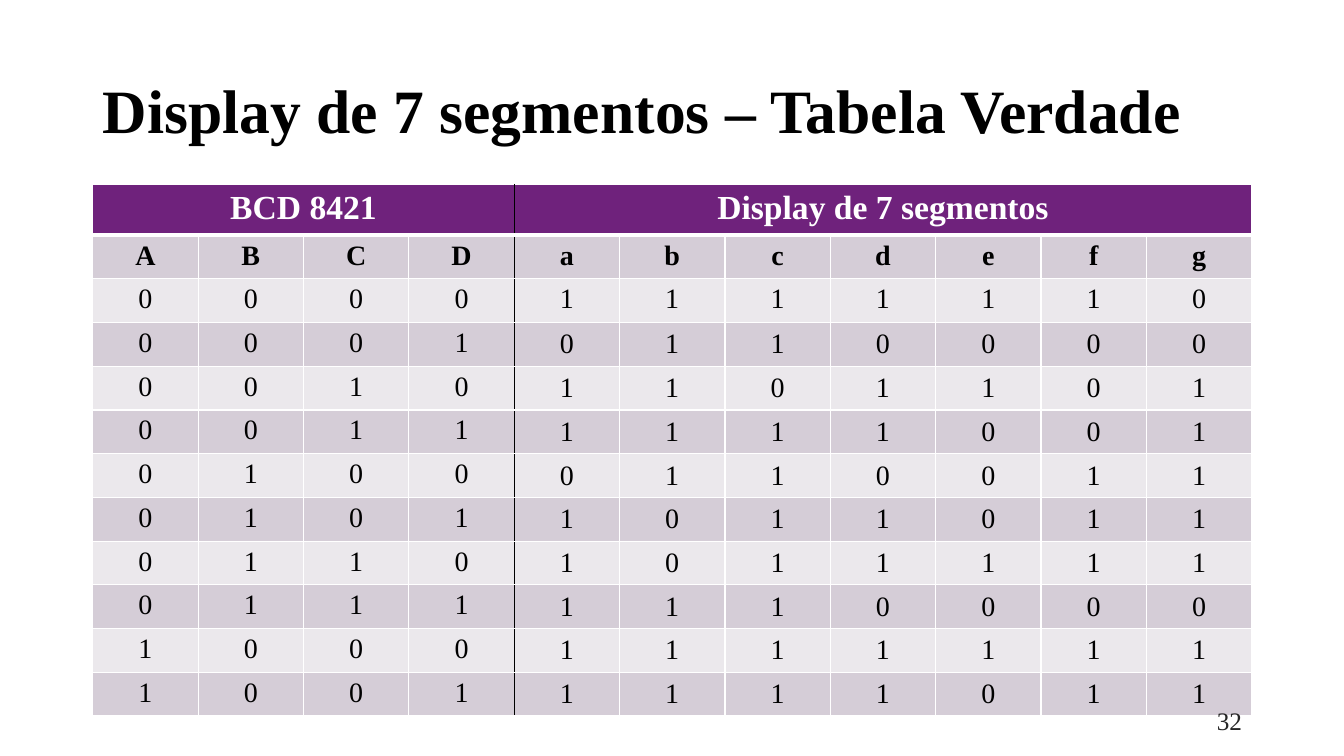
import dataclasses

import pptx
import pptx.dml.color
import pptx.enum.text
import pptx.oxml
import pptx.oxml.ns
import pptx.util

Pt = pptx.util.Pt
ALIGN = pptx.enum.text.PP_ALIGN
MIDDLE = pptx.enum.text.MSO_ANCHOR.MIDDLE

INPUTS = "ABCD"
OUTPUTS = "abcdefg"
# Segments a to g for the digits 0 to 9
SEGMENTS = [
    "1111110", "0110000", "1101101", "1111001", "0110011",
    "1011011", "1011111", "1110000", "1111111", "1111011",
]


@dataclasses.dataclass
class Theme:
    font: str = "Times New Roman"
    black: str = "000000"
    white: str = "FFFFFF"
    header: str = "6F227C"
    bands: tuple = ("EBE8EC", "D5CDD7")
    number: str = "262626"
    title_size: int = 44
    header_size: int = 24
    cell_size: int = 20
    number_size: int = 18
    thin: int = 1
    thick: int = 3


class SlideBuilder:
    def __init__(self, slide, theme):
        self.slide = slide
        self.theme = theme

    def style(self, p, size, color, align, bold=False):
        p.alignment = align
        p.font.name = self.theme.font
        p.font.size = Pt(size)
        p.font.bold = bold
        p.font.color.rgb = pptx.dml.color.RGBColor.from_string(color)

    def text(self, text, box, size, color, align, bold=False, spacing=1.0):
        sp = self.slide.shapes.add_textbox(*map(Pt, box))
        tf = sp.text_frame
        tf.word_wrap = True
        tf.vertical_anchor = MIDDLE
        p = tf.paragraphs[0]
        p.text = text
        p.line_spacing = spacing
        self.style(p, size, color, align, bold)

    def borders(self, cell, **sides):
        """Draw the sides L, R, T and B, each given as (colour, width)."""
        tc_pr = cell._tc.get_or_add_tcPr()
        for side in "LRTB":
            color, width = sides.get(side, (self.theme.white, self.theme.thin))
            tc_pr.append(pptx.oxml.parse_xml(
                f'<a:ln{side} {pptx.oxml.ns.nsdecls("a")} w="{Pt(width)}">'
                f'<a:solidFill><a:srgbClr val="{color}"/></a:solidFill></a:ln{side}>'
            ))

    def cell(self, cell, text, size, color, fill, bold, **sides):
        self.borders(cell, **sides)
        cell.fill.solid()
        cell.fill.fore_color.rgb = pptx.dml.color.RGBColor.from_string(fill)
        p = cell.text_frame.paragraphs[0]
        p.text = text
        self.style(p, size, color, ALIGN.CENTER, bold)

    def truth_table(self, groups, rows, left, top, width, row_height):
        """Build a table with merged group headings over a row of names and rows of bits."""
        th = self.theme
        split = len(groups[0][1])
        cols = len(rows[0])
        table = self.slide.shapes.add_table(
            len(rows) + 1, cols, Pt(left), Pt(top), Pt(width), Pt(row_height * (len(rows) + 1))
        ).table
        for column in table.columns:
            column.width = Pt(width / cols)
        divider = (th.black, th.thin)
        rule = (th.white, th.thick)

        start = 0
        for heading, names in groups:
            cell = table.cell(0, start)
            cell.merge(table.cell(0, start + len(names) - 1))
            side = "L" if start == split else "R"
            self.cell(cell, heading, th.header_size, th.white, th.header, True,
                      B=rule, **{side: divider})
            start += len(names)

        for i, row in enumerate(rows, 1):
            for j, text in enumerate(row):
                sides = {"T": rule} if i == 1 else {}
                if j == split - 1:
                    sides["R"] = divider
                elif j == split:
                    sides["L"] = divider
                cell = table.cell(i, j)
                self.cell(cell, text, th.cell_size, th.black, th.bands[i % 2], i == 1, **sides)
                if j >= split and i > 2:
                    cell.vertical_anchor = MIDDLE


def main():
    prs = pptx.Presentation()
    prs.slide_width, prs.slide_height = Pt(960), Pt(540)
    theme = Theme()
    s = SlideBuilder(prs.slides.add_slide(prs.slide_layouts[6]), theme)

    s.text("Display de 7 segmentos – Tabela Verdade", (66.24, 28.8, 828, 104.4),
           theme.title_size, theme.black, ALIGN.LEFT, bold=True, spacing=0.9)
    rows = [INPUTS + OUTPUTS]
    rows += [f"{digit:04b}{segments}" for digit, segments in enumerate(SEGMENTS)]
    s.truth_table([("BCD 8421", INPUTS), ("Display de 7 segmentos", OUTPUTS)], rows,
                  left=66.24, top=131.8, width=828, row_height=29.2)
    s.text("32", (678.24, 500.4, 216, 28.8), theme.number_size, theme.number, ALIGN.RIGHT)
    prs.save("out.pptx")


if __name__ == "__main__":
    main()
